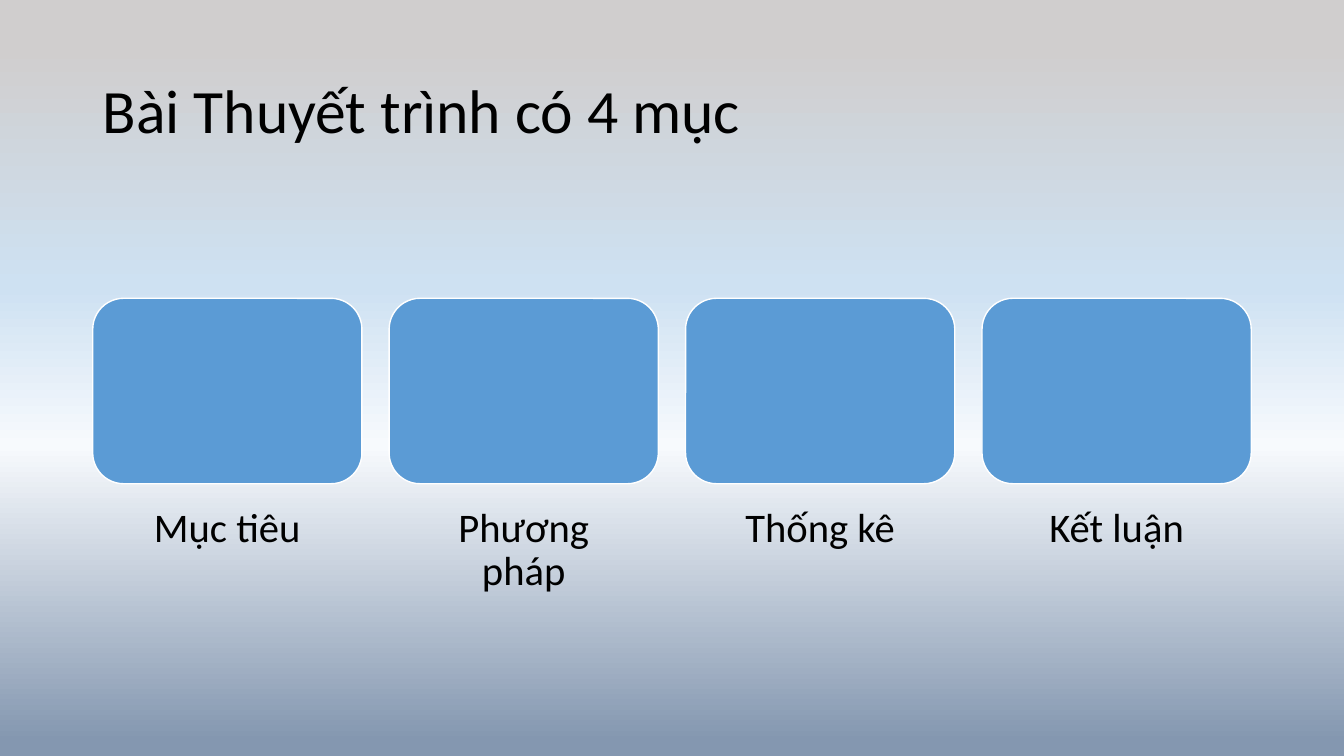
import dataclasses

import lxml.etree
import pptx
import pptx.dml.color
import pptx.enum.shapes
import pptx.enum.text
import pptx.oxml.ns
import pptx.util

Inches = pptx.util.Inches
Align = pptx.enum.text.PP_ALIGN
Anchor = pptx.enum.text.MSO_ANCHOR


@dataclasses.dataclass(frozen=True)
class Theme:
    font: str = "Calibri"
    title_size: int = 44
    label_size: int = 29
    text: str = "000000"
    card: str = "5B9BD5"
    outline: str = "FFFFFF"
    sky: tuple = ((6, "D0CECE"), (38, "CEE1F2"), (59, "F7FAFD"), (98, "8497B0"))


THEME = Theme()
WIDTH, HEIGHT = 13.33, 7.5
MARGIN = 0.92
CONTENT_WIDTH = 11.49
CARD_GAP = 0.27
CARD_SHARE = 0.65  # part of each column's height taken by the card
TITLE = "Bài Thuyết trình có 4 mục"
SECTIONS = ("Mục tiêu", "Phương pháp", "Thống kê", "Kết luận")


def rgb(value):
    return pptx.dml.color.RGBColor.from_string(value)


def set_all(target, values):
    for name, value in values.items():
        setattr(target, name, value)


def add_text(slide, box, text, size, frame_format, paragraph_format):
    frame = slide.shapes.add_textbox(*map(Inches, box)).text_frame
    set_all(frame, {"word_wrap": True, **frame_format})
    paragraph = frame.paragraphs[0]
    set_all(paragraph, {"text": text, "line_spacing": 0.9, **paragraph_format})
    font = paragraph.runs[0].font
    set_all(font, {"name": THEME.font, "size": pptx.util.Pt(size)})
    font.color.rgb = rgb(THEME.text)


def paint_background(slide):
    fill = slide.background.fill
    fill.gradient()
    fill.gradient_angle = 270
    qn = pptx.oxml.ns.qn
    stops = slide.element.find(".//" + qn("a:gsLst"))
    for stop in list(stops):
        stops.remove(stop)
    for percent, color in THEME.sky:
        stop = lxml.etree.SubElement(stops, qn("a:gs"), pos=str(percent * 1000))
        lxml.etree.SubElement(stop, qn("a:srgbClr"), val=color)


def add_title(slide, box):
    add_text(slide, box, TITLE, THEME.title_size,
             {"vertical_anchor": Anchor.MIDDLE}, {"alignment": Align.LEFT})


def add_section(slide, box, label):
    left, top, width, height = box
    card_height = height * CARD_SHARE

    # Rounded card
    card = slide.shapes.add_shape(
        pptx.enum.shapes.MSO_SHAPE.ROUNDED_RECTANGLE,
        *map(Inches, (left, top, width, card_height)))
    card.shadow.inherit = False
    card.fill.solid()
    card.fill.fore_color.rgb = rgb(THEME.card)
    card.line.color.rgb = rgb(THEME.outline)
    card.line.width = pptx.util.Pt(1)

    # Label under the card
    inset = Inches(0.23)
    add_text(slide, (left, top + card_height, width, height - card_height),
             label, THEME.label_size,
             {"margin_left": inset, "margin_top": inset, "margin_right": inset,
              "margin_bottom": 0, "vertical_anchor": Anchor.TOP},
             {"alignment": Align.CENTER})


def add_sections(slide, box):
    left, top, width, height = box
    count = len(SECTIONS)
    column = (width - CARD_GAP * (count - 1)) / count
    for index, label in enumerate(SECTIONS):
        column_left = left + index * (column + CARD_GAP)
        add_section(slide, (column_left, top, column, height), label)


def main():
    deck = pptx.Presentation()
    set_all(deck, {"slide_width": Inches(WIDTH), "slide_height": Inches(HEIGHT)})
    slide = deck.slides.add_slide(deck.slide_layouts[6])
    paint_background(slide)
    add_title(slide, (MARGIN, 0.4, CONTENT_WIDTH, 1.45))
    add_sections(slide, (MARGIN, 2.96, CONTENT_WIDTH, 2.83))
    deck.save("out.pptx")


if __name__ == "__main__":
    main()
